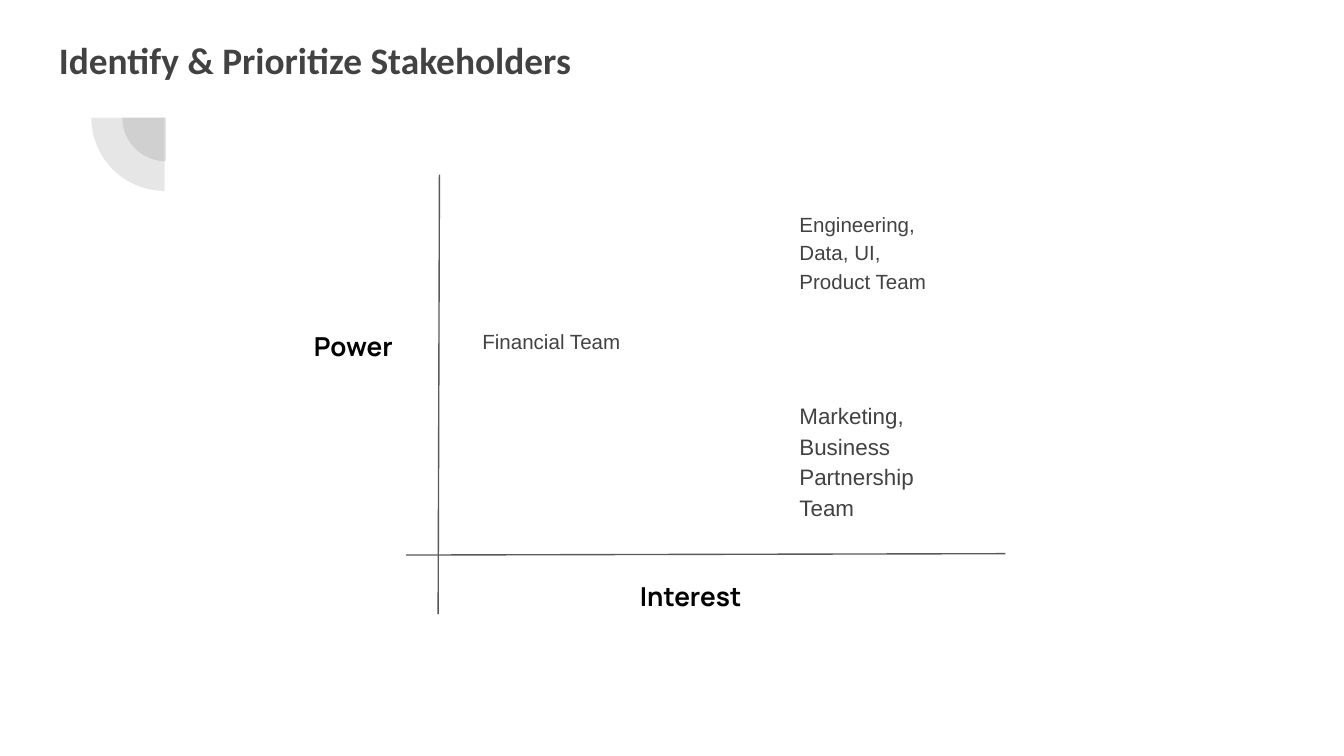
from dataclasses import dataclass

from lxml import etree
from pptx import Presentation
from pptx.dml.color import RGBColor
from pptx.enum.shapes import MSO_CONNECTOR, MSO_SHAPE
from pptx.enum.text import MSO_ANCHOR, PP_ALIGN
from pptx.oxml.ns import qn
from pptx.util import Inches, Pt

PIE = MSO_SHAPE.PIE
LINE = MSO_CONNECTOR.STRAIGHT
TOP = MSO_ANCHOR.TOP
LEFT, MID = PP_ALIGN.LEFT, PP_ALIGN.CENTER


@dataclass(frozen=True)
class Theme:
    ink: str = "424242"
    dark: str = "000000"
    axis: str = "595959"
    alpha: int = 13
    stroke: float = 0.75
    head: str = "Calibri"
    label: str = "Manrope"
    body: str = "Arial"
    title: int = 20
    name: int = 14
    large: int = 12
    small: int = 11


@dataclass(frozen=True)
class Box:
    x: float
    y: float
    w: float
    h: float


@dataclass(frozen=True)
class Team:
    text: str
    box: Box
    size: int


@dataclass(frozen=True)
class Axis:
    name: str
    box: Box
    start: tuple[float, float]
    end: tuple[float, float]


THEME = Theme()
WIDTH = Inches(10)
HEIGHT = WIDTH * 9 // 16
TITLE = Box(0.34, 0.18, 9.32, 0.63)
ARCS = (Box(0.91, 0.55, 0.65, 0.65), Box(0.68, 0.33, 1.09, 1.09))
AXES = (
    Axis("Power", Box(2, 2.36, 1.26, 0.44), (3.27, 1.3), (3.26, 4.57)),
    Axis("Interest", Box(4.51, 4.22, 1.26, 0.44), (3.02, 4.13), (7.48, 4.12)),
)
TEAMS = (
    Team("Engineering, Data, UI, Product Team", Box(5.85, 1.45, 1.26, 0.81), THEME.small),
    Team("Financial Team", Box(3.49, 2.32, 1.38, 0.39), THEME.small),
    Team("Marketing, Business Partnership Team", Box(5.85, 2.86, 1.44, 1.1), THEME.large),
)


def place(box: Box) -> list[Inches]:
    return [Inches(v) for v in (box.x, box.y, box.w, box.h)]


def add_text(slide, text: str, box: Box, *, font: str, size: int, color: str,
             bold: bool = False, align=LEFT, space: float = 1.0, after: int = 0) -> None:
    frame = slide.shapes.add_textbox(*place(box)).text_frame
    frame.word_wrap = True
    frame.vertical_anchor = TOP
    frame.margin_left = frame.margin_right = Inches(0.1)
    frame.margin_top = frame.margin_bottom = Inches(0.1)
    para = frame.paragraphs[0]
    para.alignment = align
    para.line_spacing = space
    para.space_after = Pt(after)
    run = para.add_run()
    run.text = text
    run.font.name = font
    run.font.size = Pt(size)
    run.font.bold = bold
    run.font.color.rgb = RGBColor.from_string(color)


def add_arc(slide, box: Box) -> None:
    shape = slide.shapes.add_shape(PIE, *place(box))
    shape.adjustments[0] = 108
    shape.adjustments[1] = 162
    shape.rotation = 270
    shape.shadow.inherit = False
    shape.line.fill.background()
    shape.fill.solid()
    shape.fill.fore_color.rgb = RGBColor.from_string(THEME.ink)
    color = shape._element.spPr.find(qn("a:solidFill"))[0]
    etree.SubElement(color, qn("a:alpha"), val=str(THEME.alpha * 1000))


def add_axis(slide, axis: Axis) -> None:
    ends = [Inches(v) for v in axis.start + axis.end]
    line = slide.shapes.add_connector(LINE, *ends)
    line.line.color.rgb = RGBColor.from_string(THEME.axis)
    line.line.width = Pt(THEME.stroke)
    etree.SubElement(line._element.spPr, qn("a:effectLst"))


def main() -> None:
    deck = Presentation()
    deck.slide_width, deck.slide_height = WIDTH, HEIGHT
    slide = deck.slides.add_slide(deck.slide_layouts[6])
    for arc in ARCS:
        add_arc(slide, arc)
    add_text(slide, "Identify & Prioritize Stakeholders", TITLE, font=THEME.head,
             size=THEME.title, color=THEME.ink, bold=True)
    for axis in AXES:
        add_axis(slide, axis)
    for axis in AXES:
        add_text(slide, axis.name, axis.box, font=THEME.label, size=THEME.name,
                 color=THEME.dark, bold=True, align=MID)
    for team in TEAMS:
        add_text(slide, team.text, team.box, font=THEME.body, size=team.size,
                 color=THEME.ink, space=1.15, after=12)
    deck.save("out.pptx")


if __name__ == "__main__":
    main()
